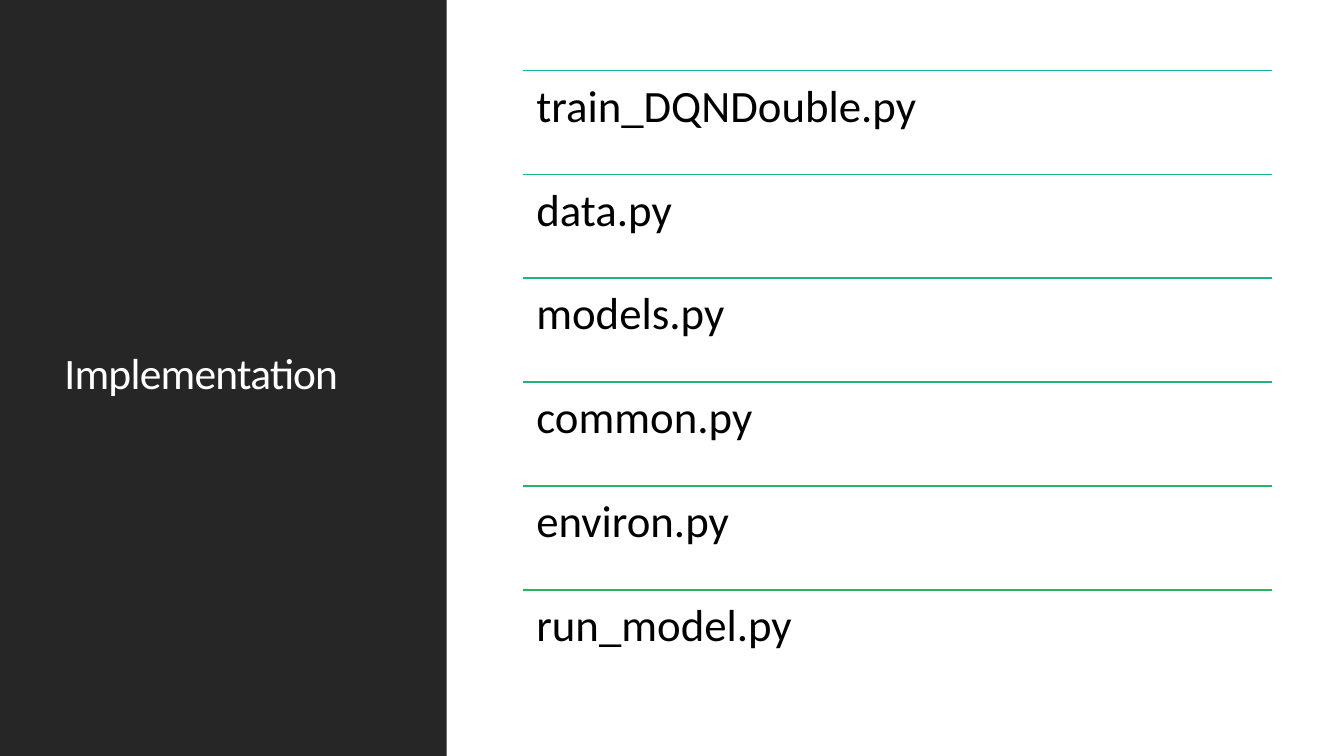
import dataclasses

import pptx
import pptx.dml.color
import pptx.enum.shapes
import pptx.enum.text
import pptx.oxml
import pptx.oxml.ns
import pptx.util

Inches = pptx.util.Inches
Pt = pptx.util.Pt
Color = pptx.dml.color.RGBColor.from_string


@dataclasses.dataclass(frozen=True)
class Theme:
    font: str = "Calibri"
    background: str = "FFFFFF"
    panel: str = "262626"
    title: str = "FFFFFF"
    body: str = "000000"
    rules: tuple = ("14B59A", "16B68E", "19B681", "1CB676", "1EB76A", "21B75F")
    title_size: float = 31
    body_size: float = 32
    rule_width: float = 1.25
    line_spacing: float = 0.9


@dataclasses.dataclass(frozen=True)
class Box:
    """A region of the slide, in inches."""
    left: float
    top: float
    width: float
    height: float

    def lengths(self):
        return [Inches(n) for n in (self.left, self.top, self.width, self.height)]

    def rows(self, count):
        step = self.height / count
        return [Box(self.left, self.top + i * step, self.width, step)
                for i in range(count)]


THEME = Theme()
SLIDE = Box(0, 0, 13.33, 7.5)
PANEL = Box(0, 0, 4.43, SLIDE.height)
FILE_LIST = Box(5.19, 0.7, 7.43, 6.18)
FILES = ("train_DQNDouble.py", "data.py", "models.py",
         "common.py", "environ.py", "run_model.py")


def add_text(page, box, text, size, color, anchor, inset=None):
    frame = page.shapes.add_textbox(*box.lengths()).text_frame
    frame.word_wrap = True
    frame.vertical_anchor = anchor
    if inset is not None:
        frame.margin_left = frame.margin_right = Inches(inset)
        frame.margin_top = frame.margin_bottom = Inches(inset)
    para = frame.paragraphs[0]
    para.line_spacing = THEME.line_spacing
    span = para.add_run()
    span.text = text
    span.font.name = THEME.font
    span.font.size = Pt(size)
    span.font.color.rgb = Color(color)
    return span


def add_rule(page, box, color):
    """Draw a line along the top edge of the box."""
    left, top, width, _ = box.lengths()
    rule = page.shapes.add_connector(
        pptx.enum.shapes.MSO_CONNECTOR.STRAIGHT, left, top, left + width, top)
    rule.line.color.rgb = Color(color)
    rule.line.width = Pt(THEME.rule_width)
    properties = rule._element.find(pptx.oxml.ns.qn("p:spPr"))
    properties.append(pptx.oxml.parse_xml(
        f"<a:effectLst {pptx.oxml.ns.nsdecls('a')}/>"))


def add_title_panel(page, box, title):
    panel = page.shapes.add_shape(
        pptx.enum.shapes.MSO_SHAPE.RECTANGLE, *box.lengths())
    panel.shadow.inherit = False
    panel.fill.solid()
    panel.fill.fore_color.rgb = Color(THEME.panel)
    panel.line.fill.background()
    title_box = Box(box.left + 0.54, box.top + 0.57,
                    box.width - 1.06, box.height - 1.19)
    span = add_text(page, title_box, title, THEME.title_size, THEME.title,
                    pptx.enum.text.MSO_ANCHOR.MIDDLE)
    span._r.get_or_add_rPr().set("spc", "-50")


def add_file_list(page, box, names):
    for row, name, color in zip(box.rows(len(names)), names, THEME.rules):
        add_rule(page, row, color)
        add_text(page, row, name, THEME.body_size, THEME.body,
                 pptx.enum.text.MSO_ANCHOR.TOP, inset=0.13)


def main():
    deck = pptx.Presentation()
    deck.slide_width = Inches(SLIDE.width)
    deck.slide_height = Inches(SLIDE.height)
    page = deck.slides.add_slide(deck.slide_layouts[6])
    page.background.fill.solid()
    page.background.fill.fore_color.rgb = Color(THEME.background)
    add_title_panel(page, PANEL, "Implementation")
    add_file_list(page, FILE_LIST, FILES)
    deck.save("out.pptx")


if __name__ == "__main__":
    main()
